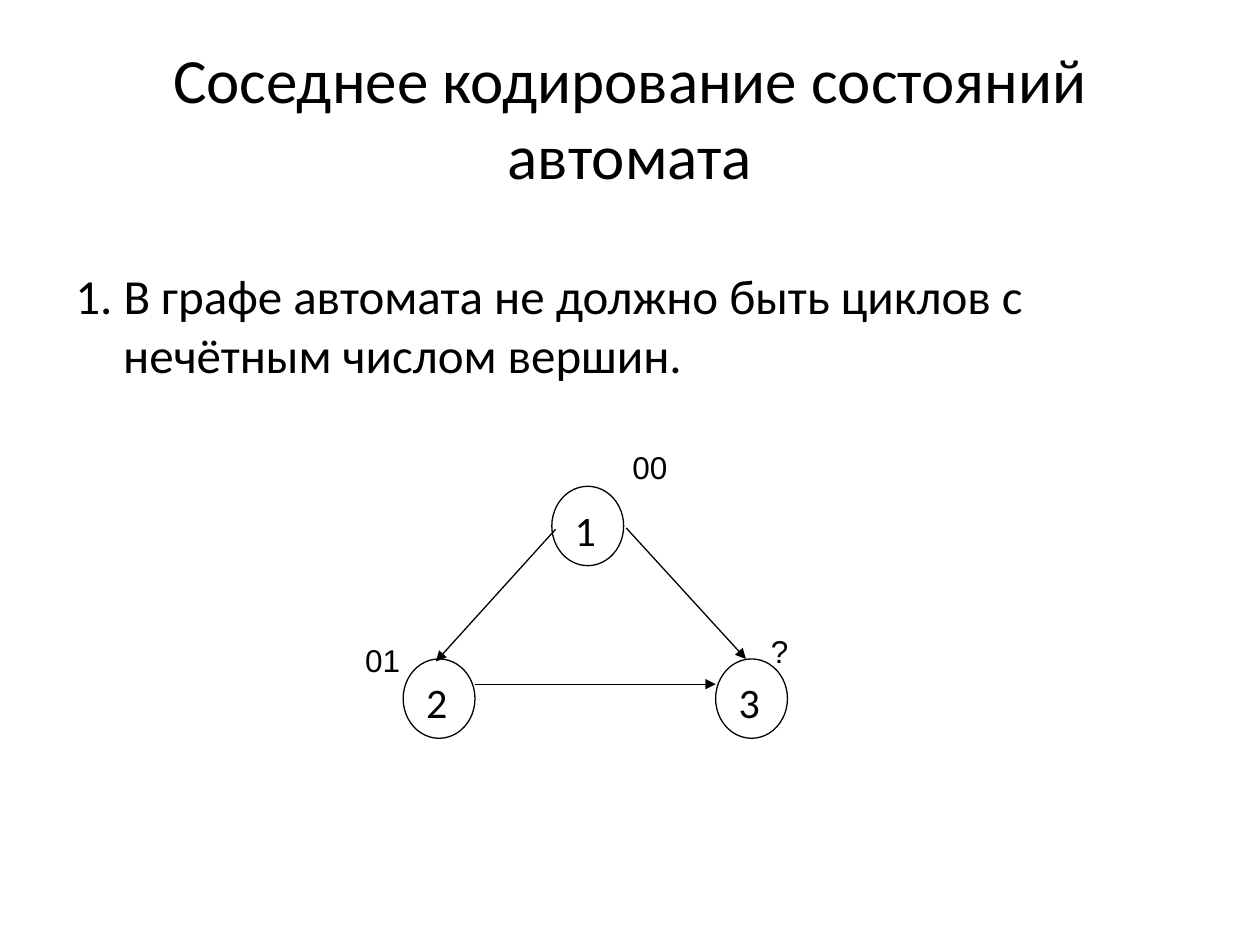
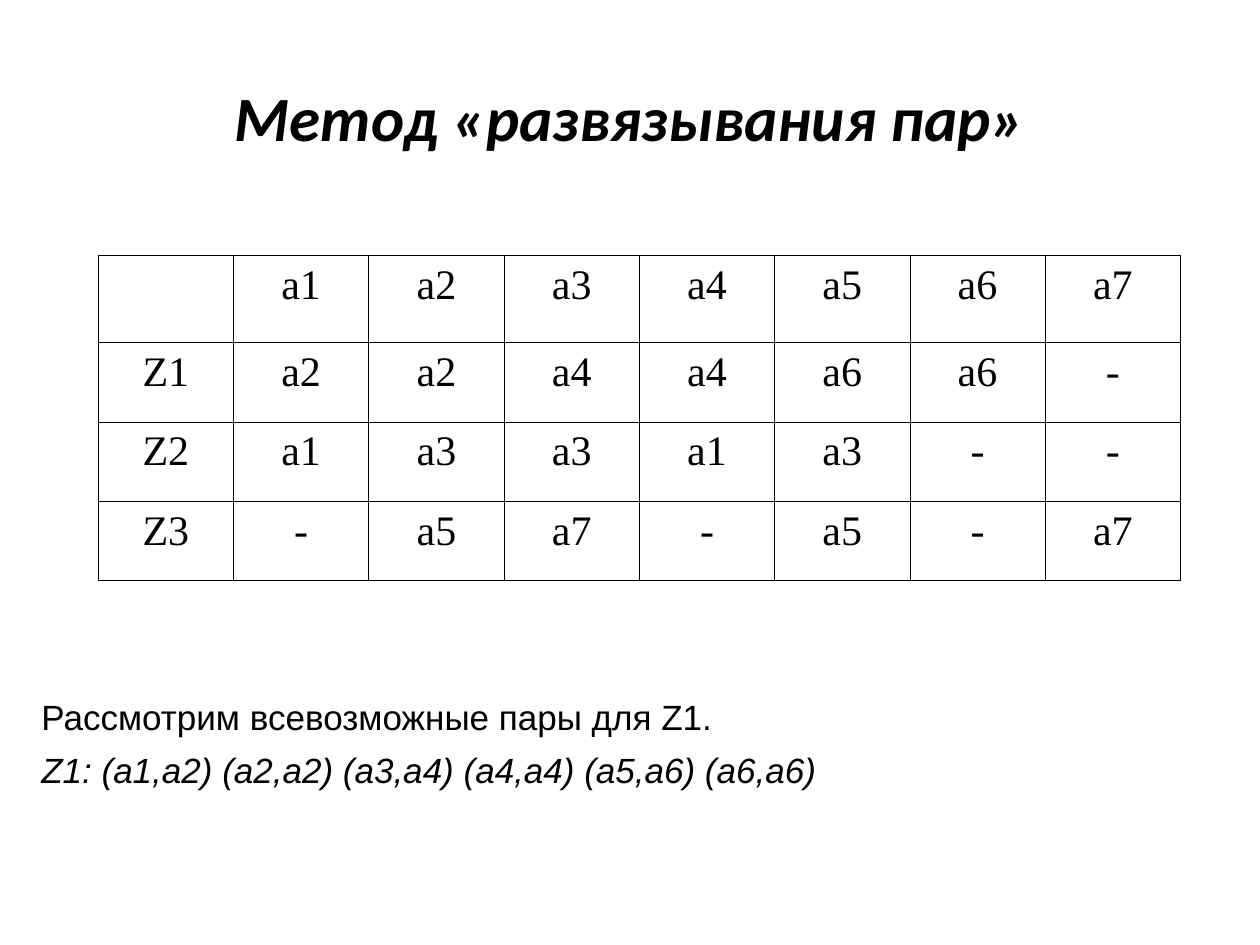
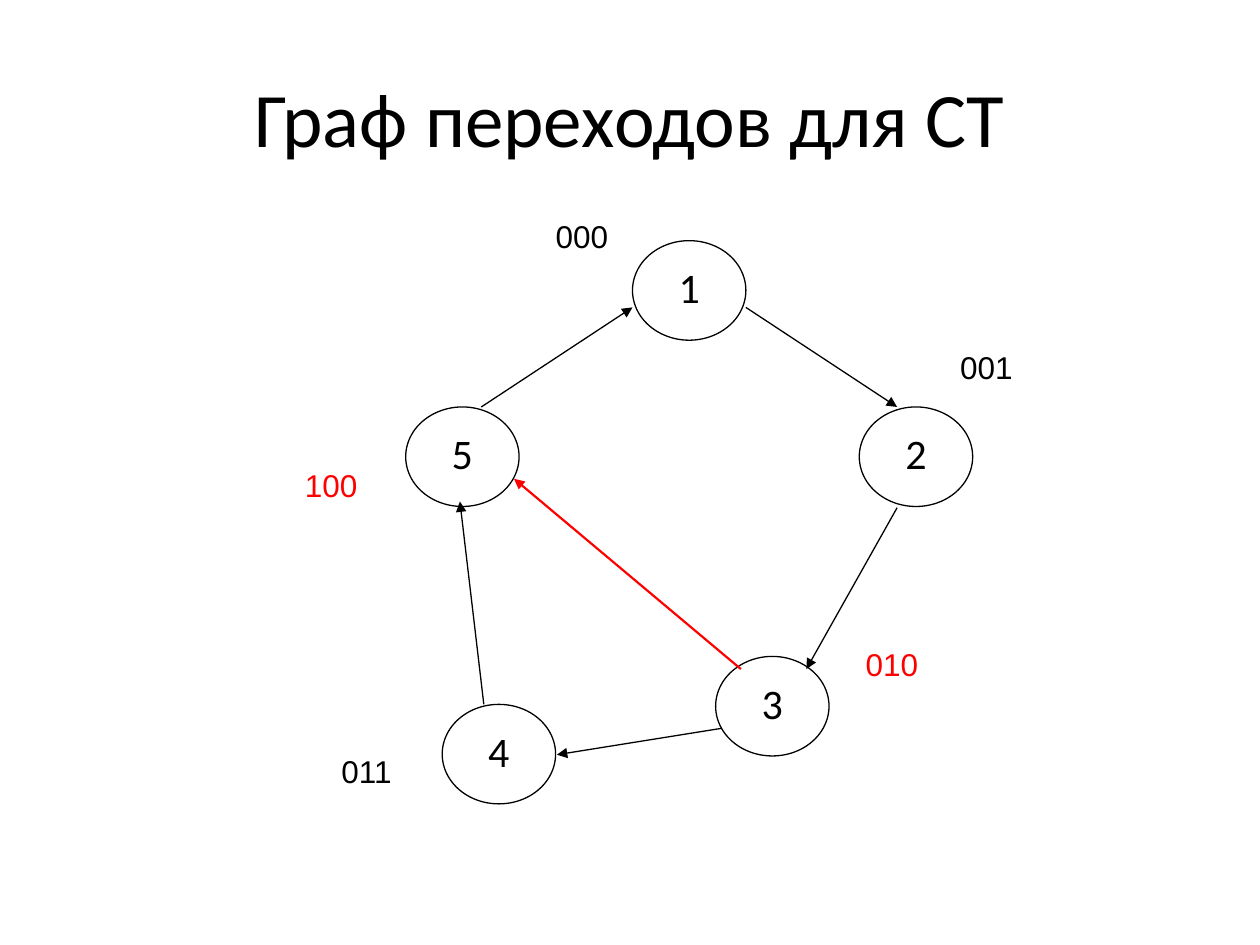
from dataclasses import dataclass

from lxml.etree import SubElement
from pptx import Presentation
from pptx.dml.color import RGBColor
from pptx.enum.shapes import MSO_CONNECTOR, MSO_SHAPE
from pptx.enum.text import MSO_ANCHOR, PP_ALIGN
from pptx.oxml.ns import qn
from pptx.util import Pt

SCALE = 9144


@dataclass(frozen=True)
class Theme:
    """Colours, fonts, type sizes and line widths."""

    ink: str = "000000"
    paper: str = "FFFFFF"
    alert: str = "FF0000"
    main: str = "Calibri"
    plain: str = "Arial"
    serif: str = "Times New Roman"
    huge: int = 44
    head: int = 36
    body: int = 28
    node: int = 24
    note: int = 20
    label: int = 18
    thin: float = 0.75
    thick: float = 1.25
    grid: float = 0.45


THEME = Theme()
SIDES = ("margin_left", "margin_top", "margin_right", "margin_bottom")


def px(*sizes):
    """Turn px lengths into EMU."""
    return [size * SCALE for size in sizes]


def apply(target, style):
    """Set each value of a style dict on the target."""
    for name, value in style.items():
        setattr(target, name, value)


def write(frame, lines, font, size, color=THEME.ink, inset=(10, 5),
          anchor=MSO_ANCHOR.TOP, para=None, style=None):
    """Fill a text frame with evenly styled lines."""
    apply(frame, dict(zip(SIDES, px(*inset, *inset))))
    apply(frame, {"word_wrap": True, "vertical_anchor": anchor})
    for index, line in enumerate(lines):
        part = frame.add_paragraph() if index else frame.paragraphs[0]
        apply(part, {"alignment": PP_ALIGN.LEFT, **(para or {})})
        run = part.add_run()
        run.text = line
        apply(run.font, {"name": font, "size": Pt(size), **(style or {})})
        run.font.color.rgb = RGBColor.from_string(color)


def add_text(shapes, box, lines, font, size, **rest):
    """Add a text box."""
    frame = shapes.add_textbox(*px(*box)).text_frame
    write(frame, lines, font, size, **rest)
    return frame


def add_title(slide, text, size=THEME.head, style=None):
    """Add the centred slide title."""
    add_text(slide.shapes, (50, 30, 900, 125), [text], THEME.main, size,
             anchor=MSO_ANCHOR.MIDDLE, para={"alignment": PP_ALIGN.CENTER},
             style=style)


def add_node(shapes, box, text, align):
    """Add one state as a numbered ellipse."""
    node = shapes.add_shape(MSO_SHAPE.OVAL, *px(*box))
    node.shadow.inherit = False
    node.fill.solid()
    node.fill.fore_color.rgb = RGBColor.from_string(THEME.paper)
    node.line.color.rgb = RGBColor.from_string(THEME.ink)
    node.line.width = Pt(THEME.thin)
    write(node.text_frame, [text], THEME.main, THEME.node,
          para={"alignment": align})


def add_arrow(shapes, ends, color=THEME.ink, width=THEME.thin):
    """Add a straight arrow."""
    arrow = shapes.add_connector(MSO_CONNECTOR.STRAIGHT, *px(*ends))
    arrow.line.color.rgb = RGBColor.from_string(color)
    arrow.line.width = Pt(width)
    SubElement(arrow.line._get_or_add_ln(), qn("a:tailEnd"), type="triangle")
    SubElement(arrow._element.spPr, qn("a:effectLst"))


def add_graph(slide, place, nodes, edges, codes, node, code, inset, align):
    """Add a state graph with its corner at the given place."""
    shapes = slide.shapes.add_group_shape().shapes
    left, top = place
    for text, x, y in nodes:
        add_node(shapes, (left + x, top + y, *node), text, align)
    for x, y, far, low, *look in edges:
        add_arrow(shapes, (left + x, top + y, left + far, top + low), *look)
    for text, x, y, *tint in codes:
        add_text(shapes, (left + x, top + y, *code), [text], THEME.plain,
                 THEME.label, color=tint[0] if tint else THEME.ink,
                 inset=inset)


def add_edges(cell):
    """Draw thin lines on all sides of a cell."""
    props = cell._tc.get_or_add_tcPr()
    for index, side in enumerate(("lnL", "lnR", "lnT", "lnB")):
        line = props.makeelement(qn(f"a:{side}"), {"w": str(Pt(THEME.grid))})
        fill = SubElement(line, qn("a:solidFill"))
        SubElement(fill, qn("a:srgbClr"), val=THEME.ink)
        props.insert(index, line)


def add_grid(slide, box, rows, first):
    """Add the table of states, with a first row of its own height."""
    left, top, width, height = box
    count = len(rows[0])
    table = slide.shapes.add_table(len(rows), count, *px(*box)).table
    apply(table, {"first_row": False, "horz_banding": False})
    for column in table.columns:
        column.width = width * SCALE // count
    rest = (height - first) // (len(rows) - 1)
    for index, (row, texts) in enumerate(zip(table.rows, rows)):
        row.height = (rest if index else first) * SCALE
        for cell, text in zip(row.cells, texts):
            cell.fill.background()
            add_edges(cell)
            apply(cell, dict(zip(SIDES, px(3, 5, 3, 5))))
            if text:
                write(cell.text_frame, [text], THEME.serif, THEME.node,
                      inset=(3, 5), para={"alignment": PP_ALIGN.CENTER})


def rule_slide(slide):
    """Build the slide on odd cycles."""
    add_title(slide, "Соседнее кодирование состояний автомата")
    frame = add_text(
        slide.shapes, (50, 206, 900, 114),
        ["1. В графе автомата не должно быть циклов с нечётным числом вершин."],
        THEME.main, THEME.body)
    props = frame.paragraphs[0]._p.get_or_add_pPr()
    for name, size in {"marL": 38, "indent": -38}.items():
        props.set(name, str(size * SCALE))
    add_graph(
        slide, (280, 351),
        nodes=[("3", 288, 172), ("1", 158, 35), ("2", 40, 172)],
        edges=[(97, 192, 288, 192), (217, 68, 312, 172), (161, 69, 66, 174)],
        codes=[("00", 212, 0), ("01", 0, 153), ("?", 322, 146)],
        node=(57, 63), code=(55, 40), inset=(10, 5), align=PP_ALIGN.LEFT)


def pairs_slide(slide):
    """Build the slide on the method of pairs."""
    add_title(slide, "Метод «развязывания пар»",
              style={"bold": True, "italic": True})
    rows = [
        ["", "a1", "a2", "a3", "a4", "a5", "a6", "a7"],
        ["Z1", "a2", "a2", "a4", "а4", "a6", "a6", "-"],
        ["Z2", "a1", "a3", "a3", "а1", "a3", "-", "-"],
        ["Z3", "-", "a5", "a7", "-", "a5", "-", "a7"],
    ]
    add_grid(slide, (78, 203, 859, 258), rows, 69)
    frame = add_text(
        slide.shapes, (23, 547, 977, 85),
        ["Рассмотрим всевозможные пары для Z1.",
         "Z1: (a1,a2) (a2,a2) (a3,a4) (a4,a4) (a5,a6) (a6,a6)"],
        THEME.plain, THEME.note, anchor=MSO_ANCHOR.MIDDLE,
        para={"alignment": PP_ALIGN.JUSTIFY, "space_after": Pt(6)})
    frame.paragraphs[1].runs[0].font.italic = True


def moves_slide(slide):
    """Build the slide with the graph of moves."""
    add_title(slide, "Граф переходов для СТ", THEME.huge)
    add_graph(
        slide, (242, 172),
        nodes=[("1", 260, 19), ("2", 440, 151), ("5", 80, 151),
               ("3", 326, 349), ("4", 109, 387)],
        edges=[(350, 72, 470, 151), (140, 151, 260, 72),
               (346, 359, 166, 208, THEME.alert, THEME.thick),
               (331, 406, 200, 427), (142, 387, 123, 226),
               (470, 231, 398, 359)],
        codes=[("000", 199, 0), ("001", 520, 104),
               ("010", 445, 340, THEME.alert), ("011", 29, 425),
               ("100", 0, 198, THEME.alert)],
        node=(90, 79), code=(57, 30), inset=(0, 0), align=PP_ALIGN.CENTER)


def main():
    """Build and save the deck."""
    deck = Presentation()
    apply(deck, dict(zip(("slide_width", "slide_height"), px(1000, 750))))
    for build in (rule_slide, pairs_slide, moves_slide):
        build(deck.slides.add_slide(deck.slide_layouts[6]))
    deck.save("out.pptx")


if __name__ == "__main__":
    main()
